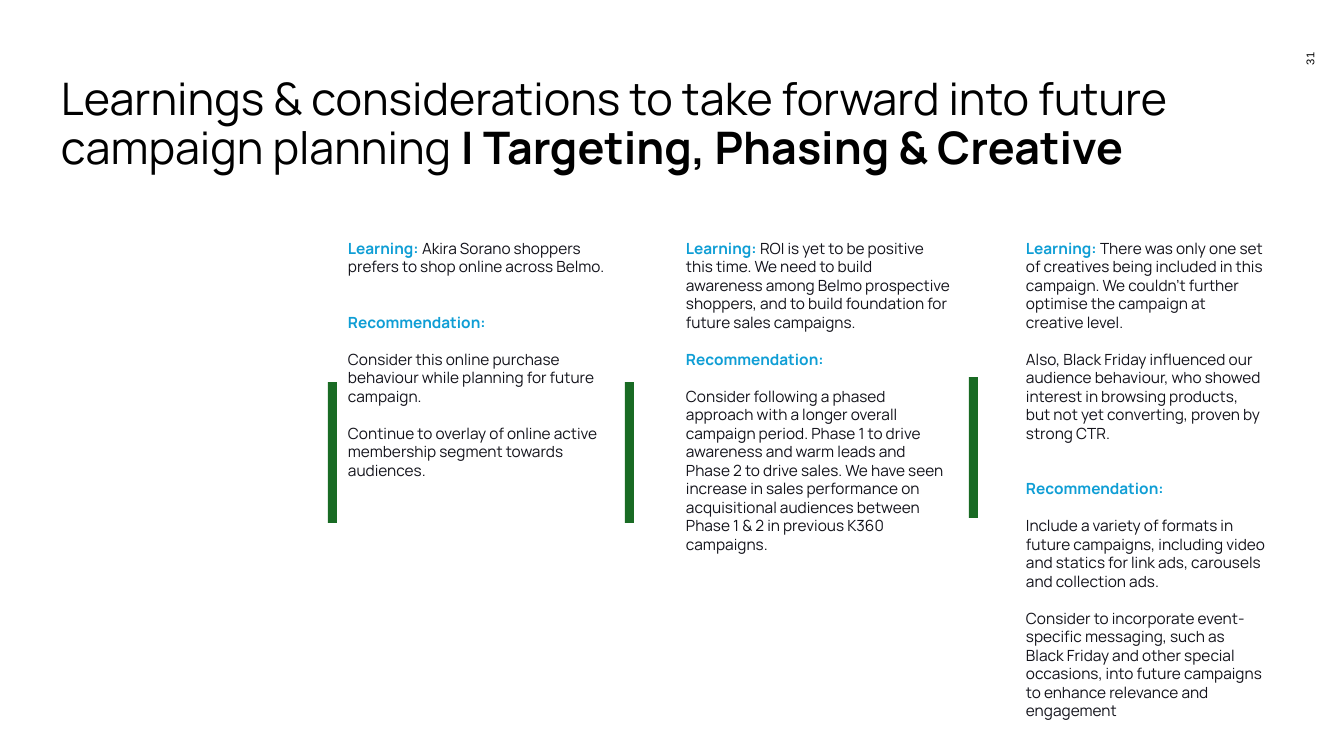
from pptx import Presentation
from pptx.dml.color import RGBColor
from pptx.enum.shapes import MSO_SHAPE
from pptx.enum.text import MSO_ANCHOR, PP_ALIGN
from pptx.util import Pt

PX = 914400 / 100.8
RECTANGLE = MSO_SHAPE.RECTANGLE
TOP, MIDDLE = MSO_ANCHOR.TOP, MSO_ANCHOR.MIDDLE
LEFT, RIGHT = PP_ALIGN.LEFT, PP_ALIGN.RIGHT

THEME = {
    "font": "Manrope", "number_font": "Arial",
    "black": RGBColor.from_string("000000"),
    "ink": RGBColor.from_string("12121A"),
    "label": RGBColor.from_string("0F9ED5"),
    "bar": RGBColor.from_string("196B24"),
    "title_size": 32, "body_size": 11, "number_size": 8,
    "body_line": 13.2,
}


def px(*lengths):
    return [round(length * PX) for length in lengths]


def add_text(page, place, paragraphs, size, font=THEME["font"], inset=0,
             anchor=TOP, align=LEFT, line_spacing=None):
    """Each paragraph is (empty lines before it, [(text, colour, bold), ...])."""
    box = page.shapes.add_textbox(*px(*place))
    frame = box.text_frame
    frame.word_wrap = True
    frame.vertical_anchor = anchor
    frame.margin_left = frame.margin_right = px(inset)[0]
    frame.margin_top = frame.margin_bottom = px(inset)[0]
    for index, (gap, spans) in enumerate(paragraphs):
        para = frame.add_paragraph() if index else frame.paragraphs[0]
        para.alignment = align
        para.line_spacing = line_spacing
        para.space_before = Pt(gap * THEME["body_line"])
        for text, colour, bold in spans:
            span = para.add_run()
            span.text = text
            span.font.name = font
            span.font.size = Pt(size)
            span.font.bold = bold
            span.font.color.rgb = colour
    return box


deck = Presentation()
deck.slide_width, deck.slide_height = px(1344, 756)
page = deck.slides.add_slide(deck.slide_layouts[6])

number = add_text(page, (1285, 71, 50, 13), [(0, [("31", THEME["black"], False)])],
                  THEME["number_size"], font=THEME["number_font"],
                  anchor=MIDDLE, align=RIGHT)
number.rotation = 270

title = [
    ("Learnings & considerations to take forward into future campaign planning ",
     THEME["black"], False),
    ("| Targeting, Phasing & Creative", THEME["black"], True),
]
add_text(page, (61, 77, 1216, 146), [(0, title)], THEME["title_size"], line_spacing=0.9)

for left, top in [(328, 382), (625, 382), (969, 377)]:
    bar = page.shapes.add_shape(RECTANGLE, *px(left, top, 9, 141))
    bar.shadow.inherit = False
    bar.fill.solid()
    bar.fill.fore_color.rgb = THEME["bar"]
    bar.line.fill.background()

# Left, width, height, learnings, empty lines before the heading, recommendations
columns = [
    (338, 285, 495,
     ["Akira Sorano shoppers prefers to shop online across Belmo."], 2,
     ["Consider this online purchase behaviour while planning for future campaign.",
      "Continue to overlay of online active membership segment towards audiences."]),
    (676, 285, 411,
     ["ROI is yet to be positive this time. We need to build awareness among Belmo "
      "prospective shoppers, and to build foundation for future sales campaigns."], 1,
     ["Consider following a phased approach with a longer overall campaign period. "
      "Phase 1 to drive awareness and warm leads and Phase 2 to drive sales. We have "
      "seen increase in sales performance on acquisitional audiences between "
      "Phase 1 & 2 in previous K360 campaigns."]),
    (1016, 260, 459,
     ["There was only one set of creatives being included in this campaign. We "
      "couldn’t further optimise the campaign at creative level.",
      "Also, Black Friday influenced our audience behaviour, who showed interest in "
      "browsing products, but not yet converting, proven by strong CTR."], 2,
     ["Include a variety of formats in future campaigns, including video and statics "
      "for link ads, carousels and collection ads.",
      "Consider to incorporate event-specific messaging, such as Black Friday and "
      "other special occasions, into future campaigns to enhance relevance and "
      "engagement"]),
]
for left, width, height, learnings, heading_gap, recommendations in columns:
    first, *others = learnings
    paragraphs = [(0, [("Learning: ", THEME["label"], True), (first, THEME["ink"], False)])]
    paragraphs += [(1, [(text, THEME["ink"], False)]) for text in others]
    paragraphs.append((heading_gap, [("Recommendation:", THEME["label"], True)]))
    paragraphs += [(1, [(text, THEME["ink"], False)]) for text in recommendations]
    add_text(page, (left, 229, width, height), paragraphs, THEME["body_size"], inset=10)

deck.save("out.pptx")
